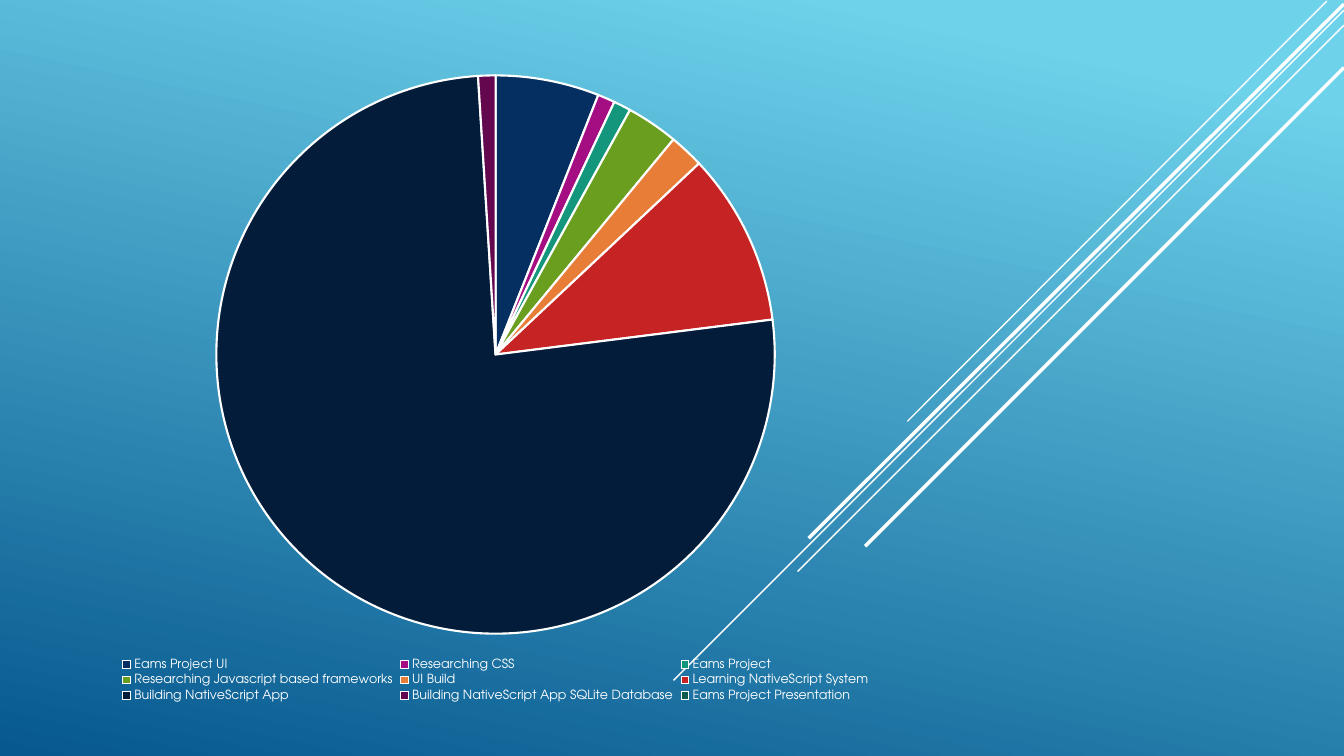
import pptx
import pptx.chart.data
import pptx.dml.color
import pptx.enum.chart
import pptx.enum.shapes
import pptx.oxml
import pptx.oxml.ns
import pptx.util

Inches = pptx.util.Inches
Pt = pptx.util.Pt

COLORS = {"white": "FFFFFF", "sky": "6ED2EB", "deep": "06588E"}
FONT = "TeX Gyre Adventor"

# x1, y1, x2, y2, width in points
STREAKS = [
    (13.16, 0.01, 9, 4.18, 1),
    (13.33, 0.1, 6.68, 6.75, 1),
    (13.33, 0.25, 7.91, 5.67, 1),
    (13.33, 0.04, 8.02, 5.34, 2.5),
    (13.33, 0.67, 8.58, 5.42, 2.5),
]

# task, share, slice colour
TASKS = [
    ("Eams Project UI", 6, "052F61"),
    ("Researching CSS", 1, "A50E82"),
    ("Eams Project", 1, "14967C"),
    ("Researching Javascript based frameworks", 3, "6A9E1F"),
    ("UI Build", 2, "E87D37"),
    ("Learning NativeScript System", 10, "C62324"),
    ("Building NativeScript App", 76, "031C3A"),
    ("Building NativeScript App SQLite Database", 1, "63084E"),
    ("Eams Project Presentation", 0, "0C5A4A"),
]


def rgb(value):
    return pptx.dml.color.RGBColor.from_string(value)


class SlideBuilder:
    def __init__(self, slide, font, colors):
        self.s = slide
        self.font = font
        self.colors = colors

    def background(self, stops, angle):
        """Fill with a gradient; angle is clockwise in degrees."""
        fill = self.s.background.fill
        fill.gradient()
        fill.gradient_angle = 360 - angle
        for stop, (position, color) in zip(fill.gradient_stops, stops):
            stop.position = position
            stop.color.rgb = rgb(self.colors[color])

    def line(self, x1, y1, x2, y2, width):
        c = self.s.shapes.add_connector(
            pptx.enum.shapes.MSO_CONNECTOR.STRAIGHT,
            Inches(x1), Inches(y1), Inches(x2), Inches(y2))
        c.line.width = Pt(width)
        c.line.color.rgb = rgb(self.colors["white"])
        effects = pptx.oxml.parse_xml(
            "<a:effectLst %s/>" % pptx.oxml.ns.nsdecls("a"))
        c._element.spPr.append(effects)

    def text_style(self, font, size):
        for name, value in {"name": self.font, "size": Pt(size)}.items():
            setattr(font, name, value)
        font.color.rgb = rgb(self.colors["white"])

    def pie(self, x, y, w, h, tasks):
        data = pptx.chart.data.CategoryChartData()
        data.categories = [name for name, _, _ in tasks]
        data.add_series("Series 1", [share for _, share, _ in tasks])
        chart = self.s.shapes.add_chart(
            pptx.enum.chart.XL_CHART_TYPE.PIE,
            Inches(x), Inches(y), Inches(w), Inches(h), data).chart
        chart.has_title = False
        self.text_style(chart.font, 10)
        chart.has_legend = True
        chart.legend.position = pptx.enum.chart.XL_LEGEND_POSITION.BOTTOM
        chart.legend.include_in_layout = False
        self.text_style(chart.legend.font, 9)
        plot = chart.plots[0]
        plot.vary_by_categories = True
        for i, (_, _, color) in enumerate(tasks):
            fmt = plot.series[0].points[i].format
            fmt.fill.solid()
            fmt.fill.fore_color.rgb = rgb(color)
            fmt.line.width = Pt(1.5)
            fmt.line.color.rgb = rgb(self.colors["white"])


def main():
    prs = pptx.Presentation()
    prs.slide_width, prs.slide_height = Inches(13.33), Inches(7.5)
    s = SlideBuilder(prs.slides.add_slide(prs.slide_layouts[6]), FONT, COLORS)
    s.background([(0.1, "sky"), (1, "deep")], 102)
    for streak in STREAKS:
        s.line(*streak)
    s.pie(0, 0.61, 9.83, 6.39, TASKS)
    prs.save("out.pptx")


if __name__ == "__main__":
    main()
